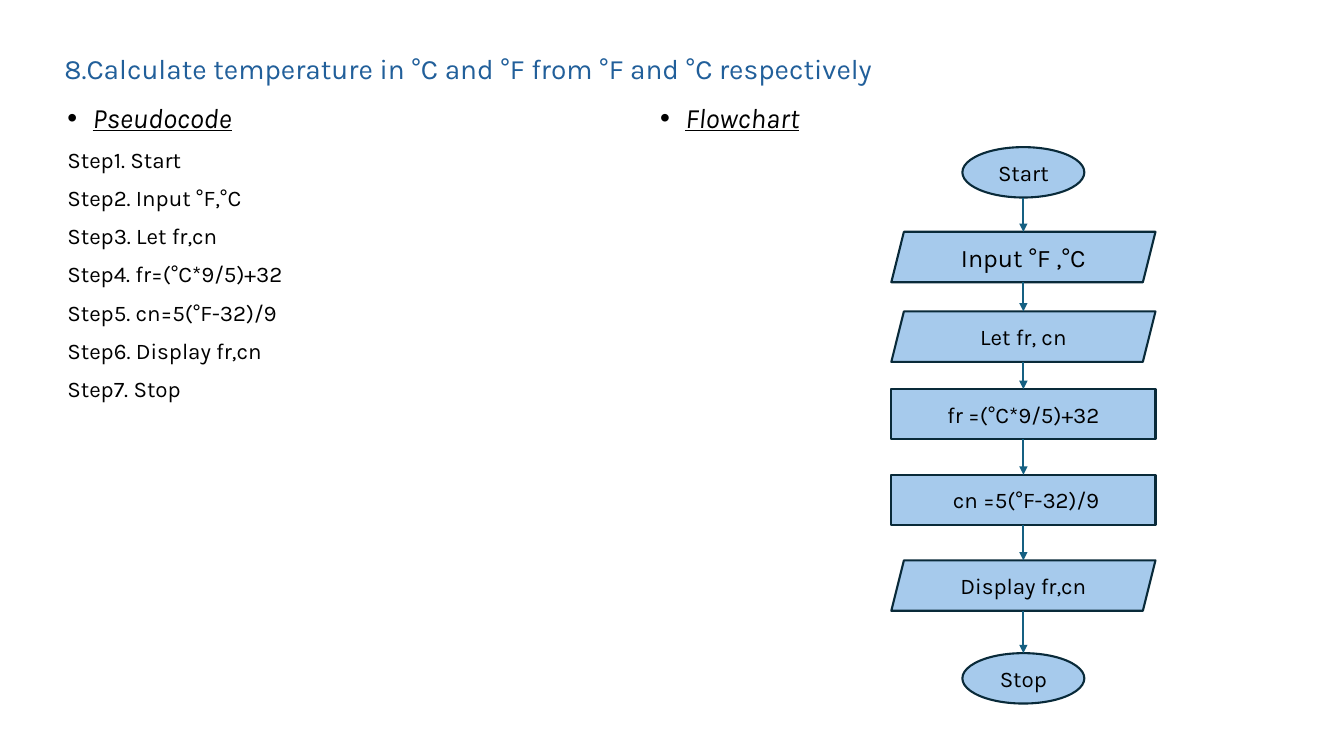
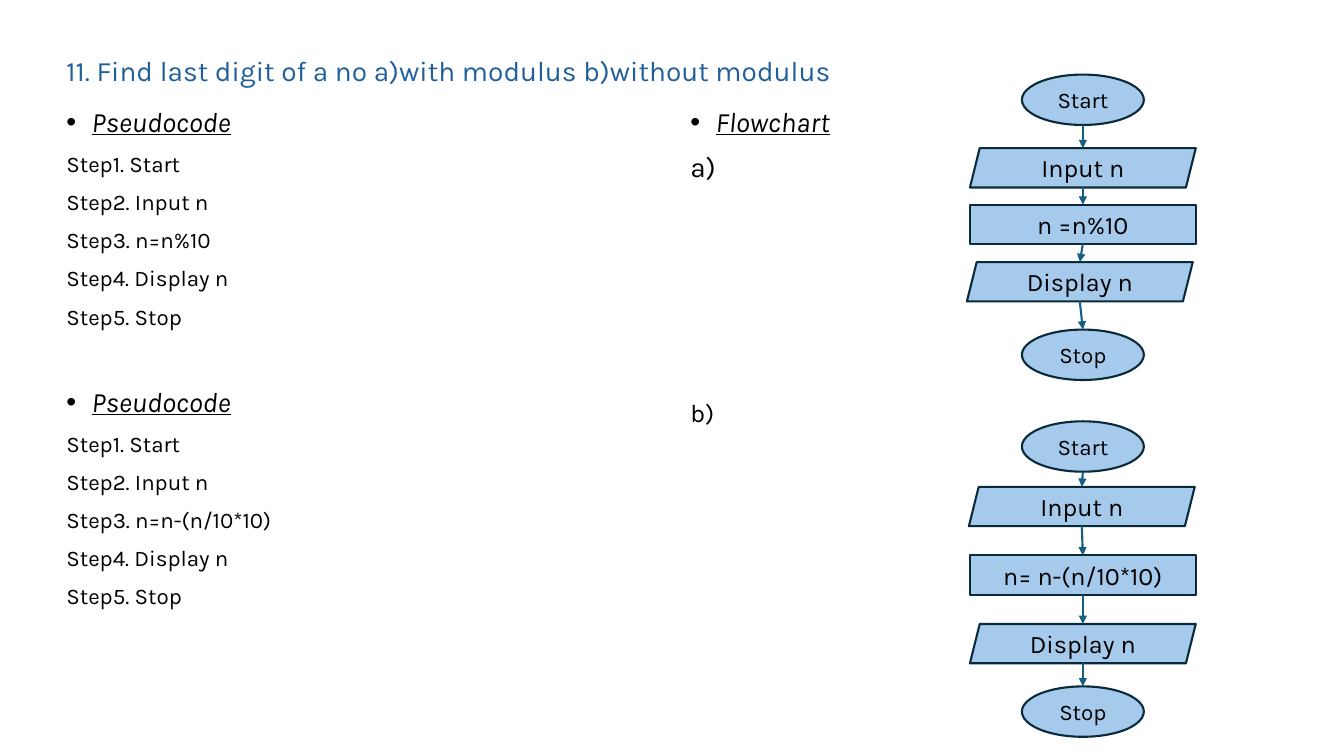
import dataclasses

import lxml.etree
import pptx
import pptx.dml.color
import pptx.enum.shapes
import pptx.enum.text
import pptx.oxml.ns
import pptx.util

Inches = pptx.util.Inches
Pt = pptx.util.Pt
Align = pptx.enum.text.PP_ALIGN
Anchor = pptx.enum.text.MSO_ANCHOR
Preset = pptx.enum.shapes.MSO_SHAPE


@dataclasses.dataclass(frozen=True)
class Theme:
    """Colours, font, and sizes shared by the slides."""
    font: str = "Karla"
    title: str = "215F9A"
    text: str = "000000"
    fill: str = "A6CAEC"
    outline: str = "092A39"
    arrow: str = "156082"
    heading_size: int = 20
    label_size: int = 18
    step_size: int = 16
    body_spacing: float = 0.9
    space_before: int = 10
    section_gap: int = 42
    line_width: float = 1.5
    terminal_width: float = 1.21
    terminal_height: float = 0.5


@dataclasses.dataclass(frozen=True)
class Box:
    """A region in inches."""
    left: float
    top: float
    width: float
    height: float

    def lengths(self):
        """Return the four lengths for a new shape."""
        return [Inches(value) for value in dataclasses.astuple(self)]


@dataclasses.dataclass(frozen=True)
class Node:
    """A flowchart symbol, placed by its offset from the top of the chart."""
    preset: int
    text: str
    offset: float
    size: int = 16
    nudge: float = 0


THEME = Theme()


def colour(value):
    """Return a colour from its hexadecimal text."""
    return pptx.dml.color.RGBColor.from_string(value)


def write_text(paragraph, text, *, size=THEME.step_size, color=THEME.text, emphasis=False,
               bullet=False, align=Align.LEFT, spacing=None, before=0):
    """Write one formatted run into a paragraph."""
    paragraph.alignment = align
    paragraph.space_before = Pt(before)
    if spacing:
        paragraph.line_spacing = spacing
    if bullet:
        properties = paragraph._p.get_or_add_pPr()
        properties.set("marL", str(Inches(0.25)))
        properties.set("indent", str(-Inches(0.25)))
        for tag, name, value in (("a:buFont", "typeface", "Arial"), ("a:buChar", "char", "•")):
            element = lxml.etree.SubElement(properties, pptx.oxml.ns.qn(tag))
            element.set(name, value)
    run = paragraph.add_run()
    run.text = text
    font = run.font
    font.name = THEME.font
    font.size = Pt(size)
    font.color.rgb = colour(color)
    if emphasis:
        font.italic = True
        font.underline = True


def add_text_frame(slide, box, anchor=Anchor.TOP):
    """Add a wrapping text box and return its text frame."""
    frame = slide.shapes.add_textbox(*box.lengths()).text_frame
    frame.word_wrap = True
    frame.vertical_anchor = anchor
    return frame


def add_title(slide, box, text):
    """Add the slide title."""
    frame = add_text_frame(slide, box, Anchor.MIDDLE)
    write_text(frame.paragraphs[0], text, size=THEME.heading_size, color=THEME.title,
               spacing=THEME.body_spacing)


def add_column(slide, box, sections, size=THEME.step_size):
    """Add a column of bulleted headings, each followed by its lines."""
    frame = add_text_frame(slide, box)
    for index, (heading, lines) in enumerate(sections):
        paragraph = frame.add_paragraph() if index else frame.paragraphs[0]
        write_text(paragraph, heading, size=THEME.heading_size, emphasis=True, bullet=True,
                   spacing=THEME.body_spacing, before=THEME.section_gap if index else 0)
        for line in lines:
            write_text(frame.add_paragraph(), line, size=size,
                       spacing=THEME.body_spacing, before=THEME.space_before)


def add_label(slide, box, text):
    """Add a free-standing label."""
    write_text(add_text_frame(slide, box).paragraphs[0], text, size=THEME.label_size)


def add_symbol(slide, box, node, symbol_height):
    """Add one flowchart symbol centred in the width of the chart."""
    width, height = box.width, symbol_height
    if node.preset == Preset.OVAL:
        width, height = THEME.terminal_width, THEME.terminal_height
    left = box.left + (box.width - width) / 2 + node.nudge
    place = Box(left, box.top + node.offset, width, height)
    shape = slide.shapes.add_shape(node.preset, *place.lengths())
    shape.shadow.inherit = False
    shape.fill.solid()
    shape.fill.fore_color.rgb = colour(THEME.fill)
    shape.line.color.rgb = colour(THEME.outline)
    shape.line.width = Pt(THEME.line_width)
    shape.text_frame.word_wrap = True
    shape.text_frame.vertical_anchor = Anchor.MIDDLE
    write_text(shape.text_frame.paragraphs[0], node.text, size=node.size, align=Align.CENTER)
    return shape


def add_arrow(slide, upper, lower):
    """Add an arrow from the bottom of one symbol to the top of the next."""
    connector = slide.shapes.add_connector(
        pptx.enum.shapes.MSO_CONNECTOR.STRAIGHT,
        upper.left + upper.width // 2, upper.top + upper.height,
        lower.left + lower.width // 2, lower.top)
    if upper.auto_shape_type == Preset.RECTANGLE:
        connector.begin_connect(upper, 2)
    if lower.auto_shape_type == Preset.RECTANGLE:
        connector.end_connect(lower, 0)
    connector.line.color.rgb = colour(THEME.arrow)
    connector.line.width = Pt(THEME.line_width)
    line = connector.line._get_or_add_ln()
    lxml.etree.SubElement(line, pptx.oxml.ns.qn("a:tailEnd")).set("type", "triangle")
    lxml.etree.SubElement(connector._element.spPr, pptx.oxml.ns.qn("a:effectLst"))


def add_flowchart(slide, box, nodes, symbol_height):
    """Add the symbols of a flowchart and the arrows between them."""
    shapes = [add_symbol(slide, box, node, symbol_height) for node in nodes]
    for upper, lower in zip(shapes, shapes[1:]):
        add_arrow(slide, upper, lower)


def number_steps(*actions):
    """Return the actions as numbered pseudocode lines."""
    return [f"Step{number}. {action}" for number, action in enumerate(actions, 1)]


def add_temperature_slide(slide):
    """Build the temperature conversion slide."""
    add_title(slide, Box(0.54, 0.4, 11.84, 0.59),
              "8.Calculate temperature in °C and °F from °F and °C respectively")
    steps = number_steps("Start", "Input °F,°C", "Let fr,cn", "fr=(°C*9/5)+32",
                         "cn=5(°F-32)/9", "Display fr,cn", "Stop")
    add_column(slide, Box(0.57, 0.99, 5.67, 4.76), [("Pseudocode", steps)])
    add_column(slide, Box(6.45, 0.99, 5.67, 4.76), [("Flowchart", [])])
    nodes = [
        Node(Preset.OVAL, "Start", 0),
        Node(Preset.PARALLELOGRAM, "Input °F ,°C", 0.84, THEME.label_size),
        Node(Preset.PARALLELOGRAM, "Let fr, cn", 1.63),
        Node(Preset.RECTANGLE, "fr =(°C*9/5)+32", 2.4),
        Node(Preset.RECTANGLE, " cn =5(°F-32)/9", 3.25),
        Node(Preset.PARALLELOGRAM, "Display fr,cn", 4.1),
        Node(Preset.OVAL, "Stop", 5.02),
    ]
    add_flowchart(slide, Box(8.84, 1.46, 2.62, 5.52), nodes, 0.5)


def digit_nodes(formula, offsets, input_nudge=0, display_nudge=0):
    """Return the symbols of a last-digit flowchart."""
    start, read, compute, display, stop = offsets
    size = THEME.label_size
    return [
        Node(Preset.OVAL, "Start", start),
        Node(Preset.PARALLELOGRAM, "Input n", read, size, input_nudge),
        Node(Preset.RECTANGLE, formula, compute, size),
        Node(Preset.PARALLELOGRAM, "Display n", display, size, display_nudge),
        Node(Preset.OVAL, "Stop", stop),
    ]


def add_digit_slide(slide):
    """Build the last digit slide."""
    add_title(slide, Box(0.56, 0.4, 11.85, 0.63),
              "11. Find last digit of a no a)with modulus b)without modulus")
    sections = [("Pseudocode", number_steps("Start", "Input n", formula, "Display n", "Stop"))
                for formula in ("n=n%10", "n=n-(n/10*10)")]
    add_column(slide, Box(0.56, 1.03, 6.02, 5.72), sections)
    add_column(slide, Box(6.75, 1.03, 5.67, 5.72), [("Flowchart", ["a)"])],
               THEME.heading_size)
    add_label(slide, Box(6.75, 3.89, 0.77, 0.4), "b)")
    add_flowchart(slide, Box(9.62, 0.74, 2.24, 3.03),
                  digit_nodes("n =n%10", (0, 0.73, 1.29, 1.86, 2.53), display_nudge=-0.03),
                  0.39)
    add_flowchart(slide, Box(9.62, 4.18, 2.24, 3.13),
                  digit_nodes("n= n-(n/10*10)", (0, 0.65, 1.33, 2.01, 2.63), input_nudge=-0.01),
                  0.39)


def main():
    """Build and save the presentation."""
    presentation = pptx.Presentation()
    presentation.slide_width = Inches(13.33)
    presentation.slide_height = Inches(7.5)
    for build in (add_temperature_slide, add_digit_slide):
        build(presentation.slides.add_slide(presentation.slide_layouts[6]))
    presentation.save("out.pptx")


if __name__ == "__main__":
    main()
